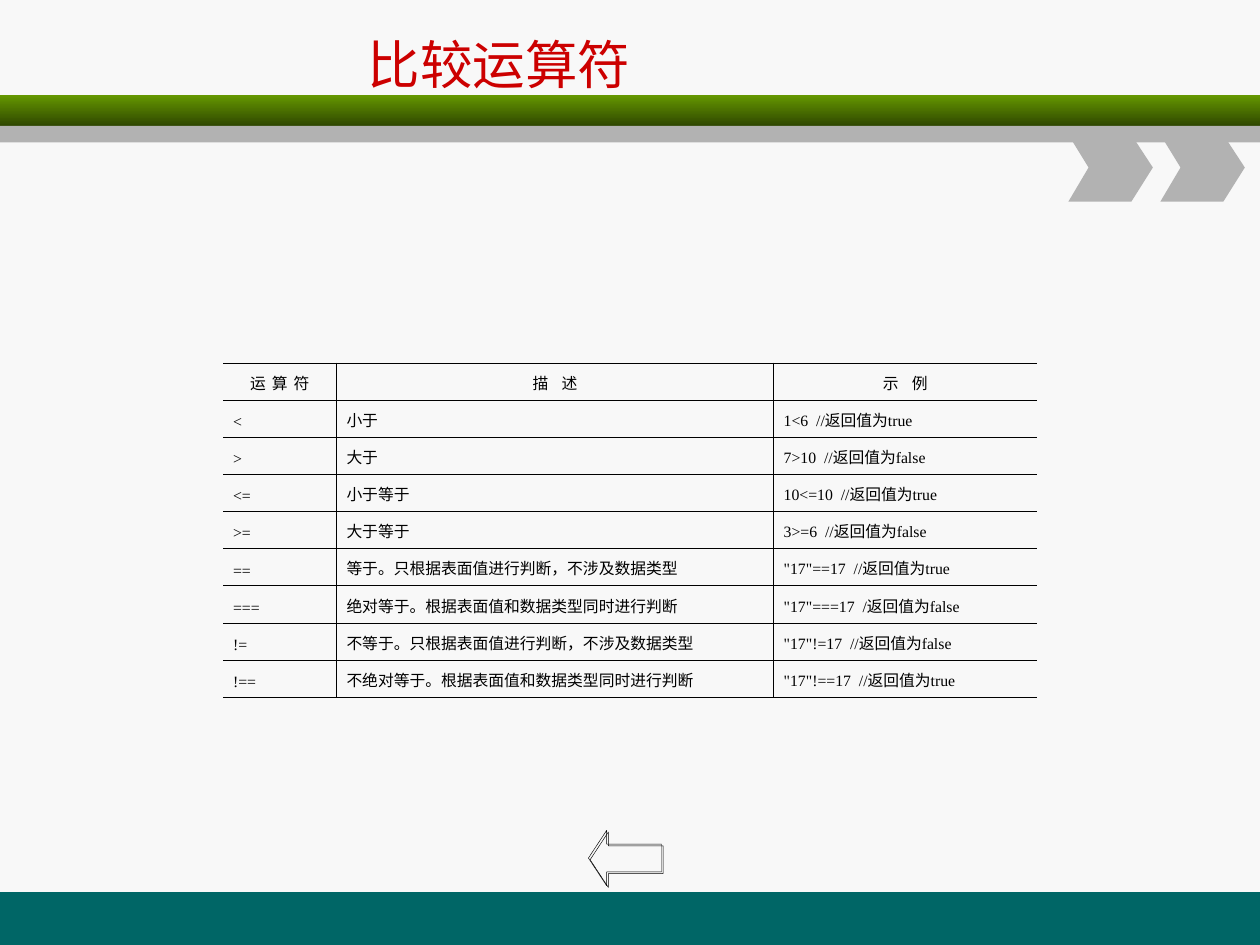
from lxml.etree import SubElement
from pptx import Presentation
from pptx.dml.color import RGBColor
from pptx.enum.shapes import MSO_SHAPE as Shape
from pptx.enum.text import MSO_ANCHOR as Anchor, PP_ALIGN as Align
from pptx.oxml import parse_xml
from pptx.oxml.ns import nsdecls, qn
from pptx.util import Inches, Pt

BACKGROUND = RGBColor(0xF8, 0xF8, 0xF8)
TEAL = RGBColor(0x00, 0x66, 0x66)
GREEN = RGBColor(0x66, 0x99, 0x00)
DARK_GREEN = RGBColor(0x2F, 0x47, 0x00)
GRAY = RGBColor(0xB2, 0xB2, 0xB2)
RED = RGBColor(0xCC, 0x00, 0x00)
BLACK = RGBColor(0x00, 0x00, 0x00)

TITLE_FORMAT = {"name": "DejaVu Sans", "size": Pt(30)}
HEADER_FORMAT = {"name": "Arial", "size": Pt(9)}
BODY_FORMAT = {"name": "Times New Roman", "size": Pt(9)}
CELL_FORMAT = {
    "vertical_anchor": Anchor.MIDDLE,
    "margin_left": Inches(0.08),
    "margin_right": Inches(0.08),
    "margin_top": Inches(0.05),
    "margin_bottom": Inches(0.05),
}
BORDER_WIDTH = Pt(0.45)
COLUMN_WIDTHS = [0.9, 3.47, 2.09]
ROW_HEIGHT = 0.19
HEADERS = [("运 算 符", 0.75), ("描 述", 2.75), ("示 例", 2.75)]
OPERATORS = [
    ("<", "小于", "1<6  //返回值为true"),
    (">", "大于", "7>10  //返回值为false"),
    ("<=", "小于等于", "10<=10  //返回值为true"),
    (">=", "大于等于", "3>=6  //返回值为false"),
    ("==", "等于。只根据表面值进行判断，不涉及数据类型", '"17"==17  //返回值为true'),
    ("===", "绝对等于。根据表面值和数据类型同时进行判断", '"17"===17  /返回值为false'),
    ("!=", "不等于。只根据表面值进行判断，不涉及数据类型", '"17"!=17  //返回值为false'),
    ("!==", "不绝对等于。根据表面值和数据类型同时进行判断", '"17"!==17  //返回值为true'),
]


def apply_format(target, values):
    """Set each named attribute on the target."""
    for name, value in values.items():
        setattr(target, name, value)


def paint(shape, color):
    """Give a shape a plain fill with no line or shadow."""
    shape.shadow.inherit = False
    shape.fill.solid()
    shape.fill.fore_color.rgb = color
    shape.line.fill.background()


def add_bar(slide, top, height, color, end_color=None):
    """Add a full-width bar, shaded downwards if an end colour is given."""
    bar = slide.shapes.add_shape(
        Shape.RECTANGLE, 0, Inches(top), Inches(10), Inches(height))
    paint(bar, color)
    if end_color is not None:
        bar.fill.gradient()
        bar.fill.gradient_angle = 270
        for stop, stop_color in zip(bar.fill.gradient_stops, (color, end_color)):
            stop.color.rgb = stop_color


def add_chevron(slide, left):
    """Add a gray chevron hanging below the header bars."""
    top, middle, bottom = 1.07, 1.33, 1.6
    points = [(0, top), (0.5, top), (0.67, middle),
              (0.5, bottom), (0, bottom), (0.16, middle)]
    corners = [(Inches(left + x), Inches(y)) for x, y in points]
    builder = slide.shapes.build_freeform(*corners[0])
    builder.add_line_segments(corners[1:], close=True)
    paint(builder.convert_to_shape(), GRAY)


def add_back_arrow(slide):
    """Add the outlined left arrow with a hard shadow."""
    arrow = slide.shapes.add_shape(
        Shape.LEFT_ARROW, Inches(4.67), Inches(6.59), Inches(0.58), Inches(0.44))
    arrow.adjustments[1] = 0.33
    arrow.fill.background()
    arrow.line.color.rgb = BLACK
    arrow.line.width = Pt(0.25)
    arrow._element.spPr.append(parse_xml(
        f'<a:effectLst {nsdecls("a")}>'
        f'<a:outerShdw dist="{Pt(1.4)}" dir="2700000" algn="ctr" rotWithShape="0">'
        f'<a:srgbClr val="{BLACK}"/></a:outerShdw></a:effectLst>'))


def add_title(slide, text):
    """Add the slide title."""
    box = slide.shapes.add_textbox(
        Inches(2.82), Inches(0.17), Inches(4.46), Inches(0.67))
    frame = box.text_frame
    apply_format(frame, {"word_wrap": True, "vertical_anchor": Anchor.MIDDLE})
    run = frame.paragraphs[0].add_run()
    run.text = text
    apply_format(run.font, TITLE_FORMAT)
    run.font.color.rgb = RED


def set_borders(cell, hidden_side):
    """Rule all sides of a cell except the hidden one."""
    properties = cell._tc.get_or_add_tcPr()
    for side in ("lnL", "lnR", "lnT", "lnB"):
        line = SubElement(properties, qn(f"a:{side}"), w=str(BORDER_WIDTH))
        if side == hidden_side:
            SubElement(line, qn("a:noFill"))
        else:
            fill = SubElement(line, qn("a:solidFill"))
            SubElement(fill, qn("a:srgbClr"), val=str(BLACK))


def fill_cell(cell, text, font_format, alignment, spacing=0):
    """Write one table cell, with letter spacing in points."""
    apply_format(cell, CELL_FORMAT)
    cell.fill.background()
    paragraph = cell.text_frame.paragraphs[0]
    apply_format(paragraph, {"alignment": alignment, "line_spacing": Pt(14)})
    run = paragraph.add_run()
    run.text = text
    apply_format(run.font, font_format)
    run.font.color.rgb = BLACK
    if spacing:
        run._r.get_or_add_rPr().set("spc", str(int(spacing * 100)))


def add_operator_table(slide):
    """Add the table of comparison operators."""
    row_count = len(OPERATORS) + 1
    table = slide.shapes.add_table(
        row_count, len(COLUMN_WIDTHS), Inches(1.77), Inches(2.88),
        Inches(sum(COLUMN_WIDTHS)), Inches(ROW_HEIGHT * row_count)).table
    apply_format(table, {"first_row": False, "horz_banding": False})
    for row in table.rows:
        row.height = Inches(ROW_HEIGHT)
    hidden_sides = ("lnL", None, "lnR")
    for column, (width, hidden_side) in enumerate(zip(COLUMN_WIDTHS, hidden_sides)):
        table.columns[column].width = Inches(width)
        for row in range(row_count):
            set_borders(table.cell(row, column), hidden_side)
    for column, (text, spacing) in enumerate(HEADERS):
        fill_cell(table.cell(0, column), text, HEADER_FORMAT, Align.CENTER, spacing)
    for row, texts in enumerate(OPERATORS, start=1):
        for column, text in enumerate(texts):
            fill_cell(table.cell(row, column), text, BODY_FORMAT, Align.LEFT)


def main():
    """Build and save the slide."""
    presentation = Presentation()
    apply_format(presentation, {"slide_width": Inches(10), "slide_height": Inches(7.5)})
    slide = presentation.slides.add_slide(presentation.slide_layouts[6])
    slide.background.fill.solid()
    slide.background.fill.fore_color.rgb = BACKGROUND
    add_bar(slide, 7.08, 0.42, TEAL)
    add_bar(slide, 0.75, 0.25, GREEN, DARK_GREEN)
    add_bar(slide, 1, 0.13, GRAY)
    for left in (8.48, 9.21):
        add_chevron(slide, left)
    add_back_arrow(slide)
    add_title(slide, "比较运算符")
    add_operator_table(slide)
    presentation.save("out.pptx")


if __name__ == "__main__":
    main()
